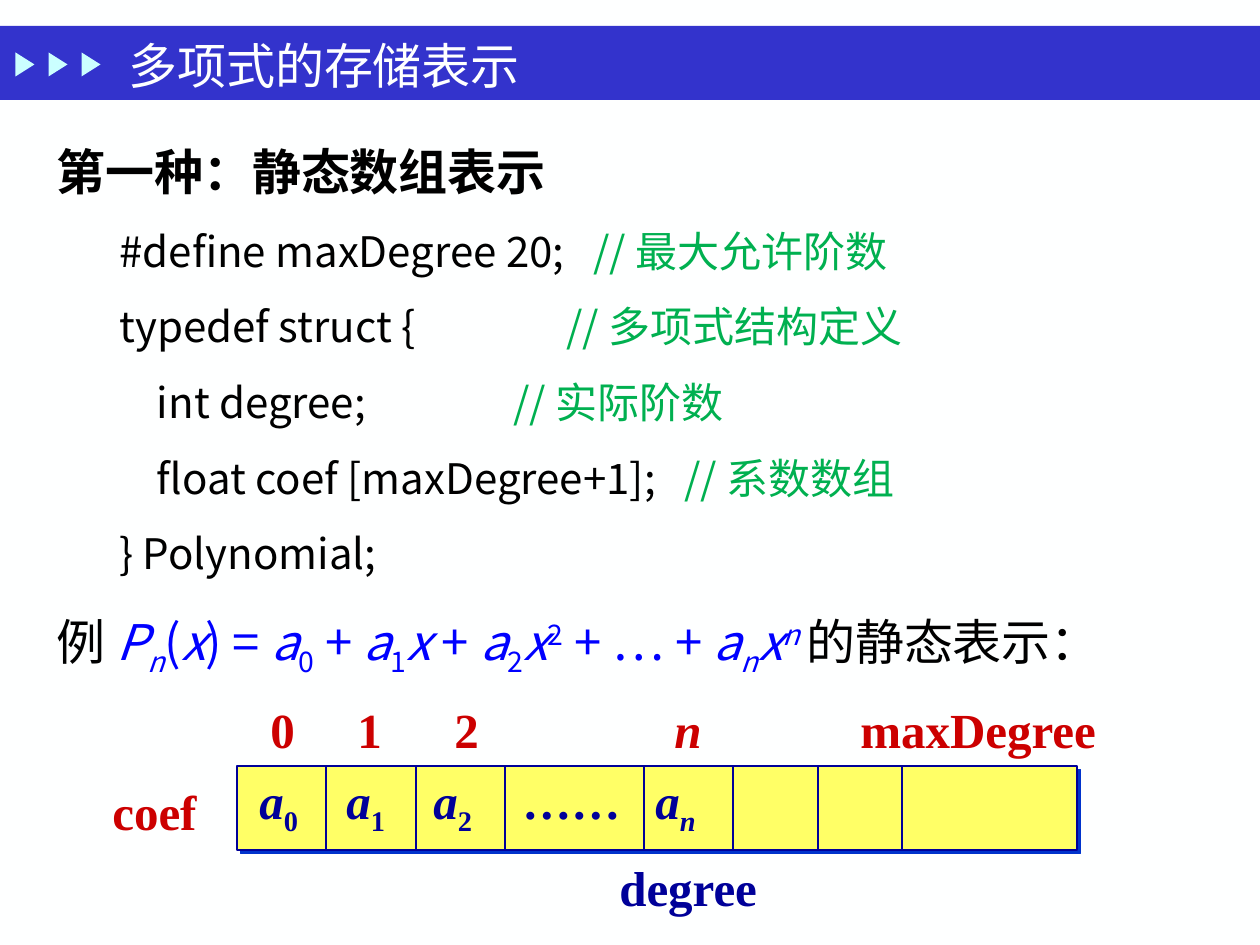
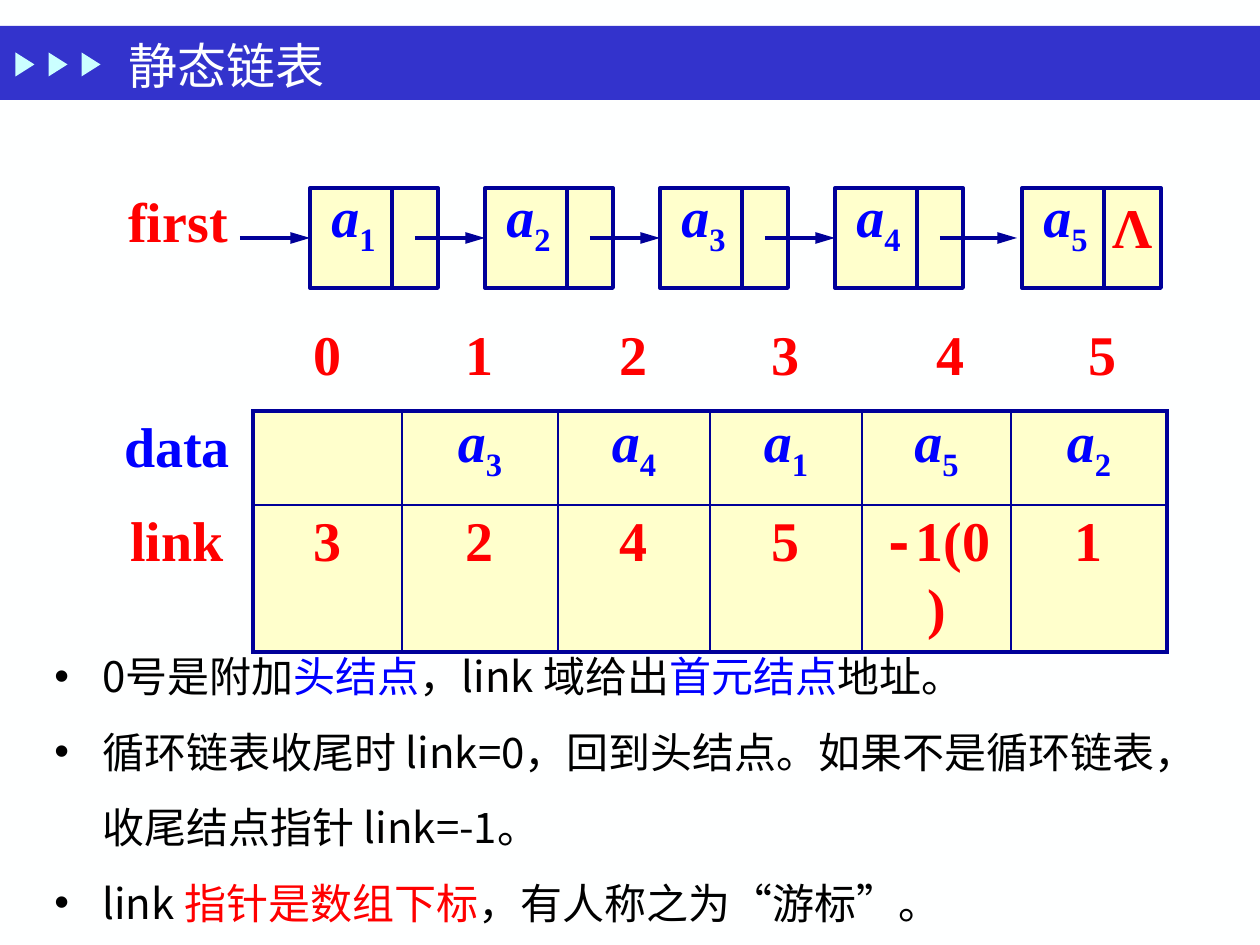
from lxml import etree
from pptx import Presentation
from pptx import util as u
from pptx.dml.color import RGBColor
from pptx.enum import shapes, text
from pptx.oxml import ns

COLORS = {
    "paper": "FEFFFF", "band": "3333CC", "arrow": "CBFFFF", "black": "000000",
    "green": "00B050", "blue": "0000FF", "red": "FF0000", "crimson": "CC0000",
    "navy": "000099", "shadow": "0033CC", "array": "FFFF66", "cell": "FFFFCC",
}
SANS, SERIF, MONO = "Noto Sans CJK SC", "Times New Roman", "Courier New"
MARKS = {
    "i": {"italic": True}, "_": {"baseline": -25000}, "^": {"baseline": 30000},
    "G": {"color": "green"}, "B": {"color": "blue"}, "R": {"color": "red"},
    "K": {"color": "black"}, "M": {"name": MONO},
}
BODY = {"name": SANS, "size": 24, "color": "black"}
LABEL = {"name": SERIF, "size": 32, "bold": True, "color": "red"}
ARRAY = LABEL | {"size": 28, "color": "crimson"}


def px(n):
    return round(n * 914400 / 126)


def rgb(name):
    return RGBColor.from_string(COLORS[name])


def sub(parent, tag, **attrs):
    return etree.SubElement(parent, ns.qn(tag), {k: str(v) for k, v in attrs.items()})


def add_runs(p, pieces, style):
    for piece in pieces:
        content, marks = (piece, "") if isinstance(piece, str) else piece
        fmt = dict(style)
        for mark in marks:
            fmt.update(MARKS[mark])
        color, size, baseline = fmt.pop("color"), fmt.pop("size"), fmt.pop("baseline", None)
        r = p.add_run()
        r.text = content
        for key, value in fmt.items():
            setattr(r.font, key, value)
        r.font.size = u.Pt(size)
        r.font.color.rgb = rgb(color)
        rPr = r._r.get_or_add_rPr()
        sub(rPr, "a:ea", typeface=SANS)
        if baseline:
            rPr.set("baseline", str(baseline))


def set_tabs(p, stops):
    tabs = sub(p._p.get_or_add_pPr(), "a:tabLst")
    for stop in stops:
        sub(tabs, "a:tab", pos=px(stop), algn="l")


def add_text(s, box, paragraphs, style, wrap=True, spacing=None, tabs=(), bullet=False):
    tf = s.shapes.add_textbox(*map(px, box)).text_frame
    tf.word_wrap = wrap
    if not wrap:
        tf.auto_size = text.MSO_AUTO_SIZE.SHAPE_TO_FIT_TEXT
    for i, pieces in enumerate(paragraphs):
        p = tf.paragraphs[0] if i == 0 else tf.add_paragraph()
        if spacing:
            p.line_spacing = spacing
        if bullet:
            pPr = p._p.get_or_add_pPr()
            pPr.set("marL", str(px(48)))
            pPr.set("indent", str(px(-48)))
            sub(pPr, "a:buFont", typeface="Arial")
            sub(pPr, "a:buChar", char="•")
        if tabs:
            set_tabs(p, tabs[i])
        add_runs(p, pieces, style)
    return tf


def add_shape(s, kind, box, fill, line=None, width=0):
    sp = s.shapes.add_shape(kind, *map(px, box))
    sp.shadow.inherit = False
    sp.fill.solid()
    sp.fill.fore_color.rgb = rgb(fill)
    if line:
        sp.line.color.rgb = rgb(line)
        sp.line.width = u.Pt(width)
    else:
        sp.line.fill.background()
    return sp


def add_line(s, x1, y1, x2, y2, width, arrow=False):
    c = s.shapes.add_connector(shapes.MSO_CONNECTOR.STRAIGHT, px(x1), px(y1), px(x2), px(y2))
    c.line.color.rgb = rgb("navy")
    c.line.width = u.Pt(width)
    if arrow:
        sub(c.line._get_or_add_ln(), "a:tailEnd", type="triangle", w="med", len="lg")
    sub(c._element.spPr, "a:effectLst")


def new_slide(prs, title):
    s = prs.slides.add_slide(prs.slide_layouts[6])
    s.background.fill.solid()
    s.background.fill.fore_color.rgb = rgb("paper")
    add_shape(s, shapes.MSO_SHAPE.RECTANGLE, (0, 26, 1260, 74), "band")
    for i in range(3):
        add_shape(s, shapes.MSO_SHAPE.ISOSCELES_TRIANGLE,
                  (13 + 33 * i, 55, 24, 19), "arrow").rotation = 90
    tf = add_text(s, (116, 33, 882, 63), [[title]], {"name": SERIF, "size": 28, "color": "paper"})
    tf.vertical_anchor = text.MSO_ANCHOR.MIDDLE
    return s


def draw_definition(s, x, y, w):
    heading = BODY | {"size": 28}
    code = [
        ["#define maxDegree 20;\t", ("// 最大允许阶数", "G")],
        ["typedef struct {\t", ("// 多项式结构定义", "G")],
        ["    int degree;\t", ("// 实际阶数", "G")],
        ["    float coef [maxDegree+1];\t", ("// 系数数组", "G")],
        ["} Polynomial;"],
    ]
    formula = [
        ("P", "i"), ("n", "i_"), "(", ("x", "i"), ") = ", ("a", "i"), ("0", "_"), " + ",
        ("a", "i"), ("1", "_"), ("x", "i"), " + ", ("a", "i"), ("2", "_"), ("x", "i"),
        ("2", "^"), " + … + ", ("a", "i"), ("n", "i_"), ("x", "i"), ("n ", "i^"),
        ("的静态表示：", "K"),
    ]
    add_text(s, (x, y, w, 100), [["第一种：静态数组表示"]], heading | {"bold": True}, spacing=1.5)
    add_text(s, (x + 63, y + 88, w - 63, 390), code, BODY, spacing=1.5,
             tabs=[[474], [447], [394], [565], []])
    add_text(s, (x, y + 466, w, 100), [[("例 ", "K")] + formula],
             heading | {"color": "blue"}, spacing=1.5)


def draw_array(s, x, y, w, h):
    frame = add_shape(s, shapes.MSO_SHAPE.RECTANGLE, (x, y, w, h), "array", "navy", 0.75)
    shadow = sub(frame._element.spPr.find(ns.qn("a:effectLst")), "a:outerShdw",
                 dist=u.Pt(2.8), dir=2700000, algn="ctr", rotWithShape=0)
    sub(shadow, "a:srgbClr", val=COLORS["shadow"])
    edge = x
    for width in (89, 90, 89, 139, 89, 85, 84):
        edge += width
        add_line(s, edge, y, edge, y + h, 0.75)
    values = [("a", "i"), ("0", "_"), "\t", ("a", "i"), ("1", "_"), "\t", ("a", "i"),
              ("2", "_"), "\t……\t", ("a", "i"), ("n", "i_")]
    navy = ARRAY | {"color": "navy"}
    add_text(s, (x + 10, y - 2, 525, 72), [values], navy, tabs=[[87, 174, 263, 396]])
    add_text(s, (x + 21, y - 73, 861, 72), [["0\t1\t2\t", ("n", "i"), "\tmaxDegree"]],
             ARRAY, tabs=[[87, 184, 404, 590]])
    add_text(s, (x - 137, y + 9, 110, 72), [["coef"]], ARRAY, wrap=False)
    add_text(s, (x + 370, y + 85, 164, 72), [["degree"]], navy, wrap=False)


def draw_linked_list(s, x, y, h):
    middle = y + h // 2
    start = x - 70
    for i, left in enumerate([x + 175 * k for k in range(4)] + [x + 712]):
        last = i == 4
        add_shape(s, shapes.MSO_SHAPE.RECTANGLE, (left, y, 139 if last else 128, h),
                  "cell", "navy", 2.25)
        add_line(s, left + 82, y, left + 82, y + h, 2.25)
        add_line(s, start, middle, left - 5 * last, middle, 2.25, arrow=True)
        add_text(s, (left + 9, y - 13, 73, 81), [[("a", "iB"), (str(i + 1), "_B")]],
                 LABEL, wrap=False)
        start = left + 105
    add_text(s, (x + 790, y - 2, 67, 81), [["Λ"]], LABEL, wrap=False)
    add_text(s, (x - 194, y - 8, 126, 81), [["first"]], LABEL, wrap=False)


def set_borders(cell, widths):
    tcPr = cell._tc.get_or_add_tcPr()
    for i, (side, width) in enumerate(zip("LRTB", widths)):
        ln = etree.Element(ns.qn("a:ln" + side), w=str(u.Pt(width)))
        if width:
            sub(sub(ln, "a:solidFill"), "a:srgbClr", val=COLORS["navy"])
        else:
            sub(ln, "a:noFill")
        tcPr.insert(i, ln)


def draw_table(s, x, y):
    columns, rows = (152, 149, 156, 152, 152, 149, 28, 128), (92, 94, 92)
    vertical = (0, 2.25, 1, 1, 1, 1, 1, 0, 2.25)
    horizontal = (0, 2.25, 1, 2.25)
    element = lambda n: [("a", "iB"), (n, "_B")]
    content = [
        [[], ["0"], ["1"], ["2"], ["3"], ["4"], [], ["5"]],
        [[("data", "B")], [], *map(element, "34152"), []],
        [["link"], ["3"], ["2"], ["4"], ["5"], [("-", "M"), "1(0)"], ["1"], []],
    ]
    table = s.shapes.add_table(3, 8, px(x), px(y), px(sum(columns)), px(sum(rows))).table
    table.first_row = table.horz_banding = False
    for column, width in zip(table.columns, columns):
        column.width = px(width)
    for row, height in zip(table.rows, rows):
        row.height = px(height)
    for r, c in ((0, 5), (1, 6), (2, 6)):
        table.cell(r, c).merge(table.cell(r, c + 1))
    for r, line in enumerate(content):
        for c, pieces in enumerate(line):
            cell = table.cell(r, c)
            if r and c:
                cell.fill.solid()
                cell.fill.fore_color.rgb = rgb("cell")
            else:
                cell.fill.background()
            right = c + (cell.span_width if cell.is_merge_origin else 1)
            sides = (vertical[c], vertical[right]) if r else (0, 0)
            ends = horizontal[r:r + 2] if c else (0, 0)
            set_borders(cell, (*sides, *ends))
            p = cell.text_frame.paragraphs[0]
            p.alignment = text.PP_ALIGN.CENTER
            if r == 1 and c:
                p.line_spacing = 0.8
            add_runs(p, pieces, LABEL)


def draw_notes(s, box):
    notes = [
        ["0号是附加", ("头结点", "B"), "，link 域给出", ("首元结点", "B"), "地址。"],
        ["循环链表收尾时 link=0，回到头结点。如果不是循环链表，收尾结点指针 link=-1。"],
        ["link ", ("指针是数组下标", "R"), "，有人称之为“游标”。"],
    ]
    add_text(s, box, notes, BODY, spacing=1.5, bullet=True)


def main():
    prs = Presentation()
    prs.slide_width, prs.slide_height = px(1260), px(945)
    s = new_slide(prs, "多项式的存储表示")
    draw_definition(s, 44, 106, 1181)
    draw_array(s, 237, 766, 840, 84)
    s = new_slide(prs, "静态链表")
    draw_notes(s, (42, 619, 1198, 324))
    draw_linked_list(s, 310, 188, 100)
    draw_table(s, 101, 319)
    prs.save("out.pptx")


if __name__ == "__main__":
    main()
